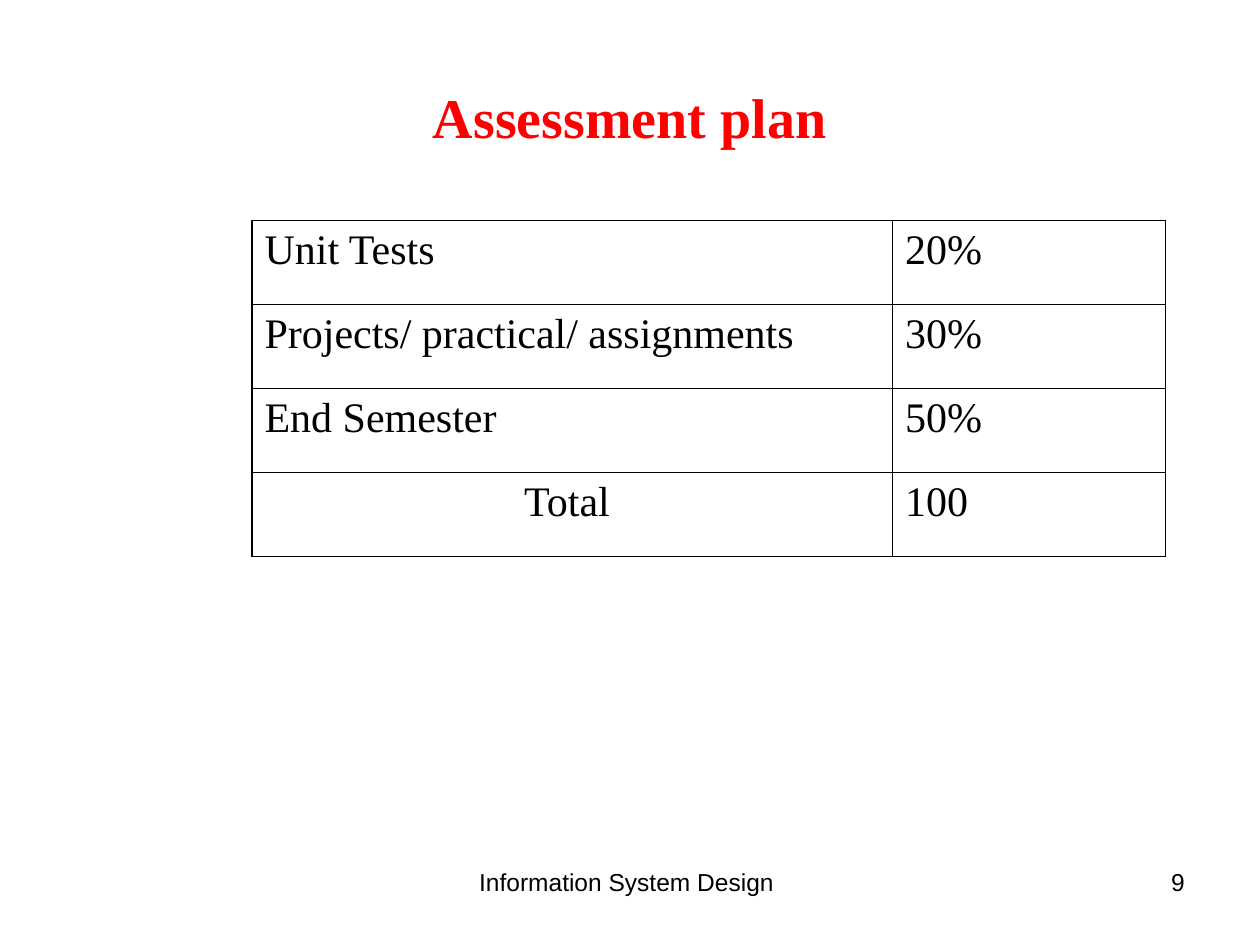
from dataclasses import dataclass

from lxml.etree import SubElement
from pptx import Presentation
from pptx.dml.color import RGBColor
from pptx.enum.text import MSO_ANCHOR, PP_ALIGN
from pptx.oxml.ns import qn
from pptx.slide import Slide
from pptx.table import _Cell
from pptx.text.text import TextFrame
from pptx.util import Pt

COLOURS = {"text": "000000", "title": "FF0000", "border": "000000", "paper": "FFFFFF"}
OUTER_BORDER, INNER_BORDER = 1.08, 0.45
TABLE_LEFT, TABLE_TOP, ROW_HEIGHT = 144, 126, 48
COLUMN_WIDTHS = (366, 156)


@dataclass(frozen=True)
class Style:
    """Describe the look of a line of text."""
    font: str
    size: float
    colour: str = "text"
    bold: bool = False
    align: PP_ALIGN = PP_ALIGN.LEFT


@dataclass(frozen=True)
class Label:
    """Describe a text box, with lengths in points."""
    text: str
    left: float
    top: float
    width: float
    height: float
    style: Style
    anchor: MSO_ANCHOR = MSO_ANCHOR.TOP


@dataclass(frozen=True)
class Component:
    """Describe one row of the assessment table."""
    name: str
    weight: str
    align: PP_ALIGN = PP_ALIGN.LEFT


LABELS = (
    Label("Information System Design ", 246, 492, 228, 37.5,
          Style("Arial", 14, align=PP_ALIGN.CENTER)),
    Label("9", 516, 492, 168, 37.5, Style("Arial", 14, align=PP_ALIGN.RIGHT)),
    Label("Assessment plan", 36, 21.6, 648, 90,
          Style("Times New Roman", 32, "title", True, PP_ALIGN.CENTER), MSO_ANCHOR.MIDDLE),
)

COMPONENTS = (
    Component("Unit Tests", "20%"),
    Component("Projects/ practical/ assignments", "30%"),
    Component("End Semester", "50%"),
    Component("Total ", "100", PP_ALIGN.CENTER),
)


def write_text(frame: TextFrame, text: str, style: Style) -> None:
    """Set the text of a frame and format it."""
    frame.text = text
    para = frame.paragraphs[0]
    para.alignment = style.align
    for span in para.runs:
        span.font.name = style.font
        span.font.size = Pt(style.size)
        span.font.bold = style.bold
        span.font.color.rgb = RGBColor.from_string(COLOURS[style.colour])


def add_label(page: Slide, label: Label) -> None:
    """Draw a text box."""
    box = page.shapes.add_textbox(Pt(label.left), Pt(label.top), Pt(label.width), Pt(label.height))
    box.text_frame.word_wrap = True
    box.text_frame.vertical_anchor = label.anchor
    write_text(box.text_frame, label.text, label.style)


def set_borders(cell: _Cell, outer_sides: dict[str, bool]) -> None:
    """Line each side of a cell, heavier on the outer edge of the table."""
    properties = cell._tc.get_or_add_tcPr()
    for position, (side, is_outer) in enumerate(outer_sides.items()):
        width = Pt(OUTER_BORDER if is_outer else INNER_BORDER)
        line = SubElement(properties, qn(f"a:{side}"), w=str(width))
        fill = SubElement(line, qn("a:solidFill"))
        SubElement(fill, qn("a:srgbClr"), val=COLOURS["border"])
        properties.insert(position, line)


def add_assessment_table(page: Slide) -> None:
    """Draw the table of assessment weights."""
    row_count, column_count = len(COMPONENTS), len(COLUMN_WIDTHS)
    table = page.shapes.add_table(
        row_count, column_count, Pt(TABLE_LEFT), Pt(TABLE_TOP),
        Pt(sum(COLUMN_WIDTHS)), Pt(ROW_HEIGHT * row_count)).table
    table.first_row = table.horz_banding = False
    for column, width in zip(table.columns, COLUMN_WIDTHS):
        column.width = Pt(width)
    for row, component in enumerate(COMPONENTS):
        table.rows[row].height = Pt(ROW_HEIGHT)
        entries = ((component.name, component.align), (component.weight, PP_ALIGN.LEFT))
        for column, (text, align) in enumerate(entries):
            cell = table.cell(row, column)
            cell.fill.solid()
            cell.fill.fore_color.rgb = RGBColor.from_string(COLOURS["paper"])
            write_text(cell.text_frame, text, Style("Times New Roman", 24, align=align))
            set_borders(cell, {
                "lnL": column == 0,
                "lnR": column == column_count - 1,
                "lnT": row == 0,
                "lnB": row == row_count - 1,
            })


def main() -> None:
    """Build and save the deck."""
    deck = Presentation()
    deck.slide_width, deck.slide_height = Pt(720), Pt(540)
    page = deck.slides.add_slide(deck.slide_layouts[6])
    for label in LABELS:
        add_label(page, label)
    add_assessment_table(page)
    deck.save("out.pptx")


if __name__ == "__main__":
    main()
